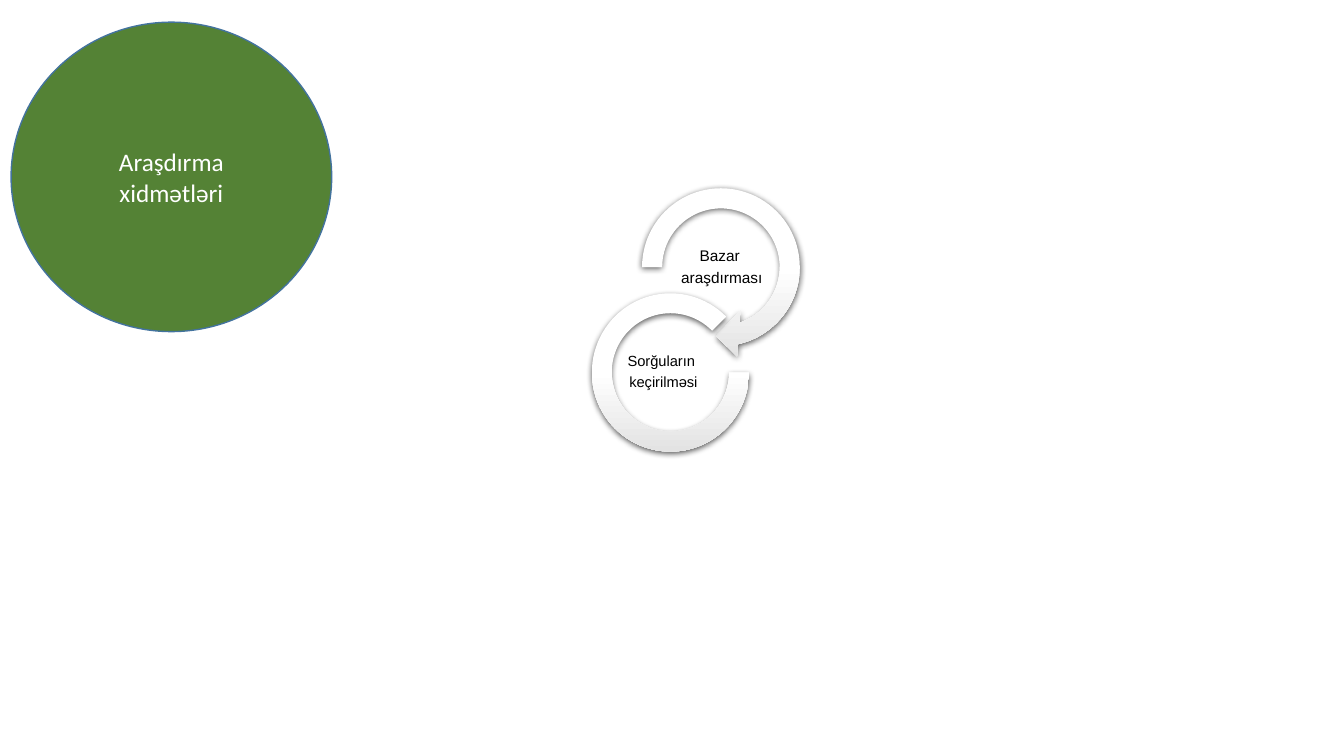
from copy import deepcopy
from dataclasses import dataclass

from lxml import etree
from pptx import Presentation, util as u
from pptx.dml.color import RGBColor
from pptx.enum import shapes, text
from pptx.oxml import ns

Inches, Pt = u.Inches, u.Pt


@dataclass(frozen=True)
class Theme:
    green: str = "548235"
    outline: str = "43739E"
    white: str = "FFFFFF"
    black: str = "000000"
    grey: str = "E3E3E3"
    title_font: str = "Calibri"
    label_font: str = "Arial"
    title_size: float = 18
    market_size: float = 11
    survey_size: float = 10.5


THEME = Theme()


def rgb(value):
    return RGBColor.from_string(value)


def box(x, y, w, h):
    return [Inches(v) for v in (x, y, w, h)]


def style(p, font, size, color):
    p.alignment = text.PP_ALIGN.CENTER
    p.font.name, p.font.size = font, Pt(size)
    p.font.color.rgb = rgb(color)


def add_title_circle(parent, place, caption):
    s = parent.add_shape(shapes.MSO_SHAPE.OVAL, *box(*place))
    s.shadow.inherit = False
    s.fill.solid()
    s.fill.fore_color.rgb = rgb(THEME.green)
    s.line.color.rgb = rgb(THEME.outline)
    s.line.width = Pt(1)
    tf = s.text_frame
    tf.word_wrap = True
    tf.vertical_anchor = text.MSO_ANCHOR.MIDDLE
    p = tf.paragraphs[0]
    p.text = caption
    style(p, THEME.title_font, THEME.title_size, THEME.white)


def add_shadow(s):
    s.shadow.inherit = False
    effects = s._element.spPr.find(ns.qn("a:effectLst"))
    shadow = etree.SubElement(
        effects, ns.qn("a:outerShdw"), blurRad=str(Pt(4.5)),
        dist=str(Pt(1.5)), dir="5400000", algn="ctr", rotWithShape="0")
    color = etree.SubElement(shadow, ns.qn("a:srgbClr"), val=THEME.black)
    etree.SubElement(color, ns.qn("a:alpha"), val="63000")


def add_ring(parent, kind, place, adjustments):
    s = parent.add_shape(kind, *box(*place))
    for i, value in enumerate(adjustments):
        s.adjustments[i] = value
    s.line.fill.background()
    # White down to the middle, then fading to grey
    s.fill.gradient()
    s.fill.gradient_angle = 270
    first, last = s.fill.gradient_stops
    first.position, last.position = 0, 1
    first.color.rgb, last.color.rgb = rgb(THEME.white), rgb(THEME.grey)
    start = s._element.spPr.find(".//" + ns.qn("a:gs"))
    middle = deepcopy(start)
    middle.set("pos", "50000")
    start.addnext(middle)
    add_shadow(s)


def add_label(parent, place, lines, size):
    tf = parent.add_textbox(*box(*place)).text_frame
    tf.word_wrap = True
    tf.vertical_anchor = text.MSO_ANCHOR.MIDDLE
    tf.margin_left = tf.margin_right = Inches(0.01)
    tf.margin_top = tf.margin_bottom = Inches(0.01)
    for i, line in enumerate(lines):
        p = tf.add_paragraph() if i else tf.paragraphs[0]
        p.text = line
        style(p, THEME.label_font, size, THEME.black)
        p.line_spacing = 0.9
        # Spacing after as a share of the type size
        p.space_after = Pt(0)
        after = p._p.pPr.find(ns.qn("a:spcAft"))
        after.remove(after[0])
        etree.SubElement(after, ns.qn("a:spcPct"), val="35000")


def main():
    prs = Presentation()
    prs.slide_width, prs.slide_height = Inches(13.33), Inches(7.5)
    slide = prs.slides.add_slide(prs.slide_layouts[6])

    # Heading
    add_title_circle(slide.shapes, (0.11, 0.22, 3.18, 3.07), "Araşdırma xidmətləri")

    # Linked rings with their services
    rings = slide.shapes.add_group_shape().shapes
    add_ring(rings, shapes.MSO_SHAPE.CIRCULAR_ARROW, (6.24, 1.74, 1.82, 1.82),
             (0.11, 11.423, 45, 108, 0.125))
    add_label(rings, (6.43, 2.4, 1.46, 0.51), ("Bazar ", "araşdırması"),
              THEME.market_size)
    add_ring(rings, shapes.MSO_SHAPE.BLOCK_ARC, (5.87, 2.91, 1.56, 1.57),
             (0, 189, 0.127))
    add_label(rings, (5.86, 3.33, 1.44, 0.73), ("Sorğuların ", "keçirilməsi"),
              THEME.survey_size)

    prs.save("out.pptx")


if __name__ == "__main__":
    main()
